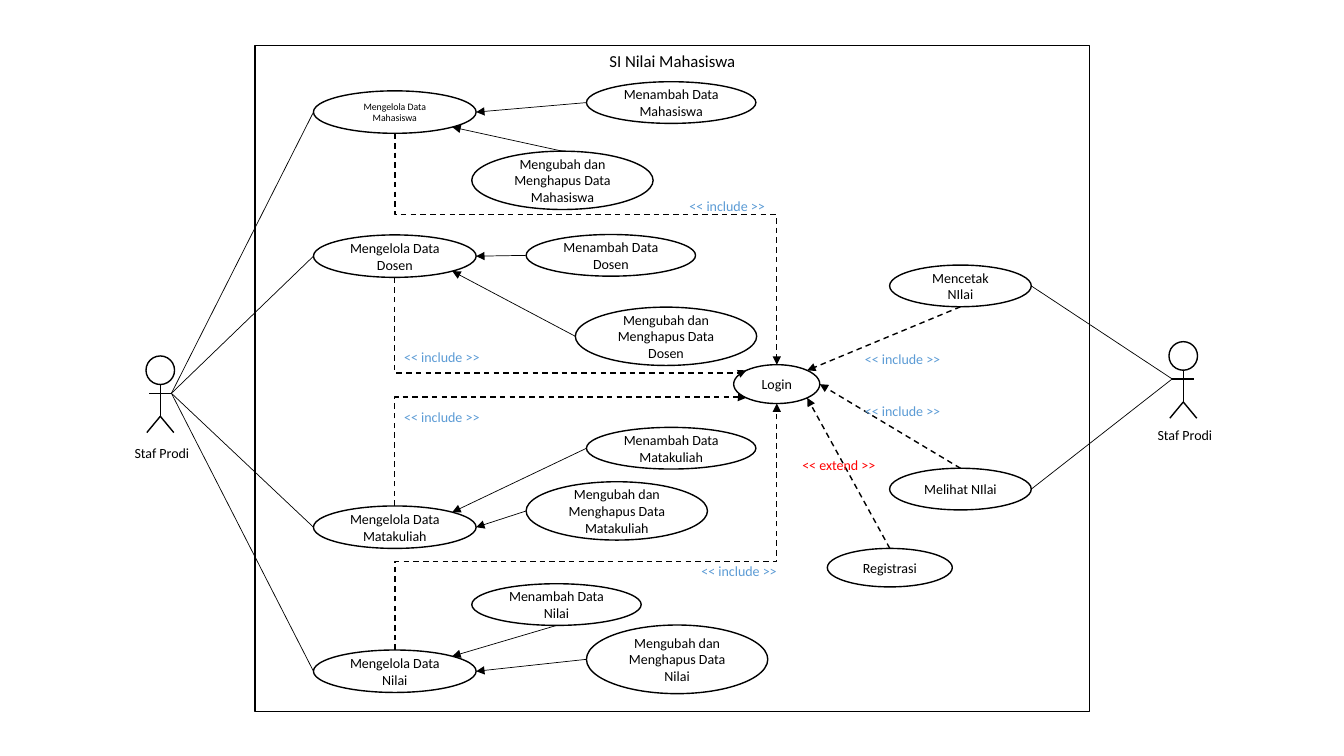
"""Build the use case diagram of the student grading system."""
import math
from typing import Any, NamedTuple, Optional

from lxml import etree
from pptx import Presentation
from pptx import util as u
from pptx.enum import dml, shapes, text
from pptx.dml.color import RGBColor
from pptx.oxml import ns

COLORS = {"ink": "000000", "paper": "FFFFFF", "include": "5B9BD5", "extend": "FF0000"}
TOP, TOP_LEFT, LEFT, BOTTOM_LEFT, BOTTOM, BOTTOM_RIGHT, RIGHT, TOP_RIGHT = range(8)
FRAME = {"left": u.Cm(6.43), "top": u.Cm(1.14), "width": u.Cm(21.03), "height": u.Cm(16.79)}


class Case(NamedTuple):
    label: str
    x: float
    y: float
    w: float
    h: float
    size: float = 10

    def site(self, index: int) -> tuple[float, float]:
        a = math.radians(-90 - 45 * index)
        return (self.x + self.w / 2 * (1 + math.cos(a)),
                self.y + self.h / 2 * (1 + math.sin(a)))


class Link(NamedTuple):
    start: str
    start_site: int
    end: str
    end_site: int
    dashed: bool = False
    bend_y: Optional[float] = None


class Label(NamedTuple):
    kind: str
    x: float
    y: float
    w: float = 2.41


class Actor(NamedTuple):
    x: float
    y: float
    label_dy: float
    hand: int
    site: int
    cases: tuple[str, ...]


MANAGE, ADD, EDIT, VIEW = (4.1, 1.07), (4.27, 1.05), (4.57, 1.47), (3.57, 1.05)
CASES = {
    "manage student": Case("Mengelola Data Mahasiswa", 7.9, 2.29, *MANAGE, size=7),
    "manage lecturer": Case("Mengelola Data Dosen", 7.9, 5.92, *MANAGE),
    "manage course": Case("Mengelola Data Matakuliah", 7.9, 12.75, *MANAGE),
    "manage grade": Case("Mengelola Data Nilai", 7.9, 16.38, *MANAGE),
    "login": Case("Login", 18.49, 9.19, 2.17, 0.98),
    "view": Case("Melihat NIlai", 22.42, 11.8, *VIEW),
    "print": Case("Mencetak NIlai", 22.42, 6.68, *VIEW),
    "register": Case("Registrasi", 20.85, 13.82, 3.15, 0.97),
    "edit lecturer": Case("Mengubah dan Menghapus Data Dosen", 14.5, 7.74, *EDIT),
    "add course": Case("Menambah Data Matakuliah", 14.78, 10.77, *ADD),
    "add lecturer": Case("Menambah Data Dosen", 13.26, 5.91, *ADD),
    "edit course": Case("Mengubah dan Menghapus Data Matakuliah", 13.26, 12.14, *EDIT),
    "edit student": Case("Mengubah dan Menghapus Data Mahasiswa", 11.89, 3.81, *EDIT),
    "add grade": Case("Menambah Data Nilai", 11.89, 14.71, *ADD),
    "add student": Case("Menambah Data Mahasiswa", 14.78, 2.06, *ADD),
    "edit grade": Case("Mengubah dan Menghapus Data Nilai", 14.78, 15.75, 4.57, 1.73),
}
LINKS = [
    Link("manage student", BOTTOM, "login", TOP, True, 5.41),
    Link("manage lecturer", BOTTOM, "login", TOP_LEFT, True, 9.4),
    Link("manage course", TOP, "login", BOTTOM_LEFT, True, 10.01),
    Link("manage grade", TOP, "login", BOTTOM, True, 14.15),
    Link("add student", LEFT, "manage student", RIGHT),
    Link("edit student", TOP, "manage student", BOTTOM_RIGHT),
    Link("add lecturer", LEFT, "manage lecturer", RIGHT),
    Link("edit lecturer", LEFT, "manage lecturer", BOTTOM_RIGHT),
    Link("add course", LEFT, "manage course", TOP_RIGHT),
    Link("edit course", LEFT, "manage course", RIGHT),
    Link("add grade", BOTTOM, "manage grade", TOP_RIGHT),
    Link("edit grade", LEFT, "manage grade", RIGHT),
    Link("register", TOP, "login", BOTTOM_RIGHT, True),
    Link("view", TOP, "login", RIGHT, True),
    Link("print", BOTTOM, "login", TOP_RIGHT, True),
]
LABELS = [
    Label("include", 17.12, 4.85), Label("include", 17.42, 14.05),
    Label("include", 9.93, 10.16), Label("include", 9.93, 8.66),
    Label("include", 21.54, 10.01), Label("include", 21.54, 8.71),
    Label("extend", 19.96, 11.38, 2.36),
]
ACTORS = [
    Actor(4.04, 8.97, 2.11, 1, LEFT,
          ("manage student", "manage lecturer", "manage course", "manage grade")),
    Actor(29.82, 8.61, 2.01, -1, RIGHT, ("view", "print")),
]


def rgb(name: str) -> RGBColor:
    return RGBColor.from_string(COLORS[name])


def write(sp: Any, content: str, size: float, color: str = "ink", **frame: Any) -> None:
    tf = sp.text_frame
    for key, value in frame.items():
        setattr(tf, key, value)
    p = tf.paragraphs[0]
    p.alignment = text.PP_ALIGN.CENTER
    r = p.add_run()
    r.text = content
    for key, value in {"name": "Calibri", "size": u.Pt(size), "bold": False}.items():
        setattr(r.font, key, value)
    r.font.color.rgb = rgb(color)


def outline(sp: Any) -> None:
    sp.fill.solid()
    sp.fill.fore_color.rgb = rgb("paper")
    sp.line.color.rgb = rgb("ink")
    sp.line.width = u.Pt(1)


def add_ellipse(parent: Any, x: float, y: float, w: float, h: float) -> Any:
    sp = parent.add_shape(shapes.MSO_SHAPE.OVAL, *map(u.Cm, (x, y, w, h)))
    sp.shadow.inherit = False
    outline(sp)
    return sp


def add_text(parent: Any, content: str, x: float, y: float, w: float, color: str) -> None:
    sp = parent.add_textbox(*map(u.Cm, (x, y, w, 0.69)))
    write(sp, content, 10, color, word_wrap=False,
          auto_size=text.MSO_AUTO_SIZE.SHAPE_TO_FIT_TEXT)


def add_line(parent: Any, start: tuple[float, float], end: tuple[float, float],
             width: float = 1, kind: Any = shapes.MSO_CONNECTOR.STRAIGHT) -> Any:
    c = parent.add_connector(kind, *map(u.Cm, (*start, *end)))
    c.line.color.rgb = rgb("ink")
    c.line.width = u.Pt(width)
    etree.SubElement(c._element.spPr, ns.qn("a:effectLst"))
    return c


def add_bend(parent: Any, start: tuple[float, float], end: tuple[float, float],
             bend_y: float) -> Any:
    (x1, y1), (x2, y2) = start, end
    cx, cy, half_w, half_h = (x1 + x2) / 2, (y1 + y2) / 2, abs(y2 - y1) / 2, abs(x2 - x1) / 2
    c = add_line(parent, (cx - half_w, cy - half_h), (cx + half_w, cy + half_h),
                 kind=shapes.MSO_CONNECTOR.ELBOW)
    down = y2 > y1
    turn = {"rot": "16200000" if down else "5400000", "flipH": "1", "flipV": "0" if down else "1"}
    for key, value in turn.items():
        c._element.spPr.xfrm.set(key, value)
    guides = c._element.spPr.find(".//" + ns.qn("a:avLst"))
    ratio = round((bend_y - y1) / (y2 - y1) * 100000)
    etree.SubElement(guides, ns.qn("a:gd"), name="adj1", fmla=f"val {ratio}")
    return c


def add_link(parent: Any, link: Link, ovals: dict[str, Any]) -> None:
    start = CASES[link.start].site(link.start_site)
    end = CASES[link.end].site(link.end_site)
    if link.bend_y is None:
        c = add_line(parent, start, end, 1 if link.dashed else 0.5)
    else:
        c = add_bend(parent, start, end, link.bend_y)
    if link.dashed:
        c.line.dash_style = dml.MSO_LINE.DASH
    etree.SubElement(c.line._get_or_add_ln(), ns.qn("a:tailEnd"), type="triangle")
    glue = c._element.find(".//" + ns.qn("p:cNvCxnSpPr"))
    for tag, name, site in (("a:stCxn", link.start, link.start_site),
                            ("a:endCxn", link.end, link.end_site)):
        etree.SubElement(glue, ns.qn(tag), id=str(ovals[name].shape_id), idx=str(site))


def add_actor(parent: Any, actor: Actor) -> None:
    x, y = actor.x, actor.y
    hand = (x + 0.28 * actor.hand, y + 0.94)
    for name in actor.cases:
        add_line(parent, CASES[name].site(actor.site), hand, 0.5)
    body = parent.add_group_shape().shapes
    add_ellipse(body, x - 0.36, y, 0.72, 0.72)
    hip = (x, y + 1.52)
    for start, end in (((x, y + 0.72), hip), (hip, (x + 0.34, y + 1.93)),
                       (hip, (x - 0.34, y + 1.93)), ((x - 0.28, y + 0.94), (x + 0.28, y + 0.94))):
        add_line(body, start, end)
    add_text(body, "Staf Prodi", x - 0.91, y + actor.label_dy, 1.9, "ink")


prs = Presentation()
prs.slide_width, prs.slide_height = u.Cm(33.87), u.Cm(19.05)
slide = prs.slides.add_slide(prs.slide_layouts[5])
title = slide.shapes.title
for side, length in FRAME.items():
    setattr(title, side, length)
outline(title)
write(title, "SI Nilai Mahasiswa", 12, vertical_anchor=text.MSO_ANCHOR.TOP,
      auto_size=text.MSO_AUTO_SIZE.NONE)
ovals = {}
for name, case in CASES.items():
    ovals[name] = add_ellipse(slide.shapes, case.x, case.y, case.w, case.h)
    write(ovals[name], case.label, case.size, vertical_anchor=text.MSO_ANCHOR.MIDDLE)
for link in LINKS:
    add_link(slide.shapes, link, ovals)
for label in LABELS:
    add_text(slide.shapes, f"<< {label.kind} >>", label.x, label.y, label.w, label.kind)
for actor in ACTORS:
    add_actor(slide.shapes, actor)
prs.save("out.pptx")
